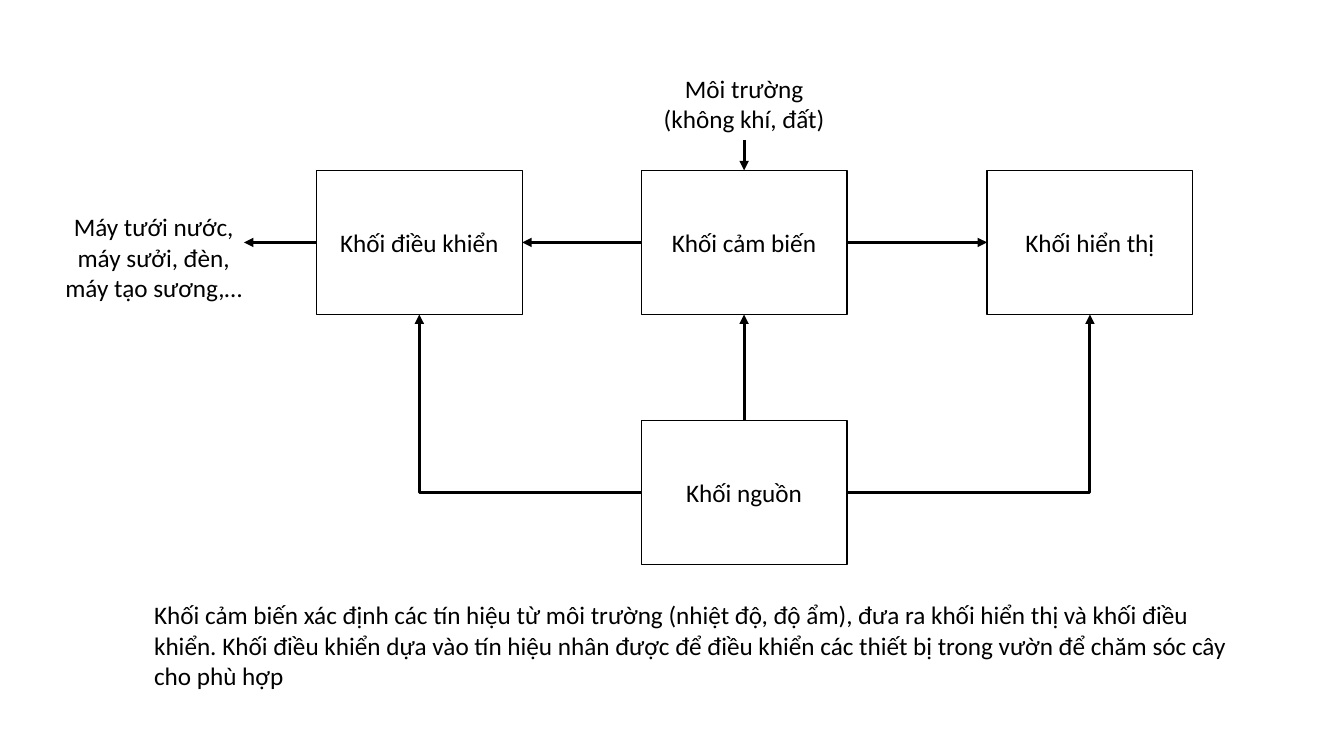
"""Build the block diagram of an automatic garden monitoring and control system."""

from dataclasses import dataclass
from enum import IntEnum

from lxml.etree import SubElement
from pptx import Presentation
from pptx.dml.color import RGBColor
from pptx.enum.shapes import MSO_CONNECTOR, MSO_SHAPE
from pptx.enum.text import MSO_ANCHOR, PP_ALIGN
from pptx.oxml.ns import qn
from pptx.shapes.base import BaseShape
from pptx.shapes.connector import Connector
from pptx.slide import Slide
from pptx.util import Emu, Pt

EMU_PER_PX = 9144
BLACK = RGBColor(0x00, 0x00, 0x00)
WHITE = RGBColor(0xFF, 0xFF, 0xFF)
FONT_NAME = "Calibri"
FONT_SIZE = Pt(18)
BLOCK_WIDTH, BLOCK_HEIGHT = 204, 143
UPPER_ROW, LOWER_ROW = 169, 417
DEVICE_ARROW_END = 242


class Side(IntEnum):
    """Connection sites of a rectangle."""

    TOP = 0
    LEFT = 1
    BOTTOM = 2
    RIGHT = 3


@dataclass(frozen=True)
class Block:
    """A bordered function block."""

    key: str
    text: str
    left: int
    top: int


@dataclass(frozen=True)
class Label:
    """A plain text box."""

    key: str
    text: str
    left: int
    top: int
    width: int
    height: int
    align: PP_ALIGN


@dataclass(frozen=True)
class Link:
    """An arrow from the side of one shape to the side of another."""

    source: str
    source_side: Side
    target: str
    target_side: Side
    bent: bool = False


BLOCKS = (
    Block("control", "Khối điều khiển", 314, UPPER_ROW),
    Block("sensor", "Khối cảm biến", 636, UPPER_ROW),
    Block("display", "Khối hiển thị", 979, UPPER_ROW),
    Block("power", "Khối nguồn", 636, LOWER_ROW),
)
LABELS = (
    Label("environment", "Môi trường (không khí, đất)", 644, 68, 188, 71, PP_ALIGN.CENTER),
    Label("devices", "Máy tưới nước, máy sưởi, đèn, máy tạo sương,…",
          51, 205, 203, 101, PP_ALIGN.CENTER),
    Label("explanation",
          "Khối cảm biến xác định các tín hiệu từ môi trường (nhiệt độ, độ ẩm), "
          "đưa ra khối hiển thị và khối điều khiển. Khối điều khiển dựa vào tín hiệu "
          "nhân được để điều khiển các thiết bị trong vườn để chăm sóc cây cho phù hợp",
          143, 590, 1100, 101, PP_ALIGN.LEFT),
)
LINKS = (
    Link("environment", Side.BOTTOM, "sensor", Side.TOP),
    Link("sensor", Side.RIGHT, "display", Side.LEFT),
    Link("sensor", Side.LEFT, "control", Side.RIGHT),
    Link("power", Side.TOP, "sensor", Side.BOTTOM),
    Link("power", Side.LEFT, "control", Side.BOTTOM, bent=True),
    Link("power", Side.RIGHT, "display", Side.BOTTOM, bent=True),
)


def px(length: int) -> Emu:
    """Turn a length in px into EMU."""
    return Emu(length * EMU_PER_PX)


def write_text(box: BaseShape, text: str, align: PP_ALIGN) -> None:
    """Write one wrapped paragraph into a shape."""
    frame = box.text_frame
    frame.word_wrap = True
    frame.text = text
    para = frame.paragraphs[0]
    para.alignment = align
    font = para.runs[0].font
    font.name, font.size = FONT_NAME, FONT_SIZE
    font.color.rgb = BLACK


def add_block(page: Slide, block: Block) -> BaseShape:
    """Draw a function block."""
    box = page.shapes.add_shape(MSO_SHAPE.RECTANGLE, px(block.left), px(block.top),
                                px(BLOCK_WIDTH), px(BLOCK_HEIGHT))
    box.shadow.inherit = False
    box.fill.solid()
    box.fill.fore_color.rgb = WHITE
    box.line.color.rgb = BLACK
    box.line.width = Pt(1)
    box.text_frame.vertical_anchor = MSO_ANCHOR.MIDDLE
    write_text(box, block.text, PP_ALIGN.CENTER)
    return box


def add_label(page: Slide, label: Label) -> BaseShape:
    """Draw a text box."""
    box = page.shapes.add_textbox(px(label.left), px(label.top),
                                  px(label.width), px(label.height))
    write_text(box, label.text, label.align)
    return box


def add_arrow(page: Slide, source: BaseShape, side: Side, bent: bool = False) -> Connector:
    """Start an arrow at the side of a shape."""
    kind = MSO_CONNECTOR.ELBOW if bent else MSO_CONNECTOR.STRAIGHT
    arrow = page.shapes.add_connector(kind, 0, 0, 0, 0)
    arrow.begin_connect(source, side)
    arrow.line.color.rgb = BLACK
    arrow.line.width = Pt(2.25)
    properties = arrow._element.spPr
    if bent:
        properties.find(qn("a:prstGeom")).set("prst", "bentConnector2")
    SubElement(properties.find(qn("a:ln")), qn("a:tailEnd"), type="triangle")
    SubElement(properties, qn("a:effectLst"))
    return arrow


def main() -> None:
    """Build and save the deck."""
    deck = Presentation()
    deck.slide_width, deck.slide_height = px(1333), px(750)
    page = deck.slides.add_slide(deck.slide_layouts.get_by_name("Blank"))
    boxes = {block.key: add_block(page, block) for block in BLOCKS}
    boxes.update({label.key: add_label(page, label) for label in LABELS})
    for link in LINKS:
        arrow = add_arrow(page, boxes[link.source], link.source_side, link.bent)
        arrow.end_connect(boxes[link.target], link.target_side)
    device_arrow = add_arrow(page, boxes["control"], Side.LEFT)
    device_arrow.end_x = px(DEVICE_ARROW_END)
    device_arrow.end_y = device_arrow.begin_y
    deck.save("out.pptx")


if __name__ == "__main__":
    main()
